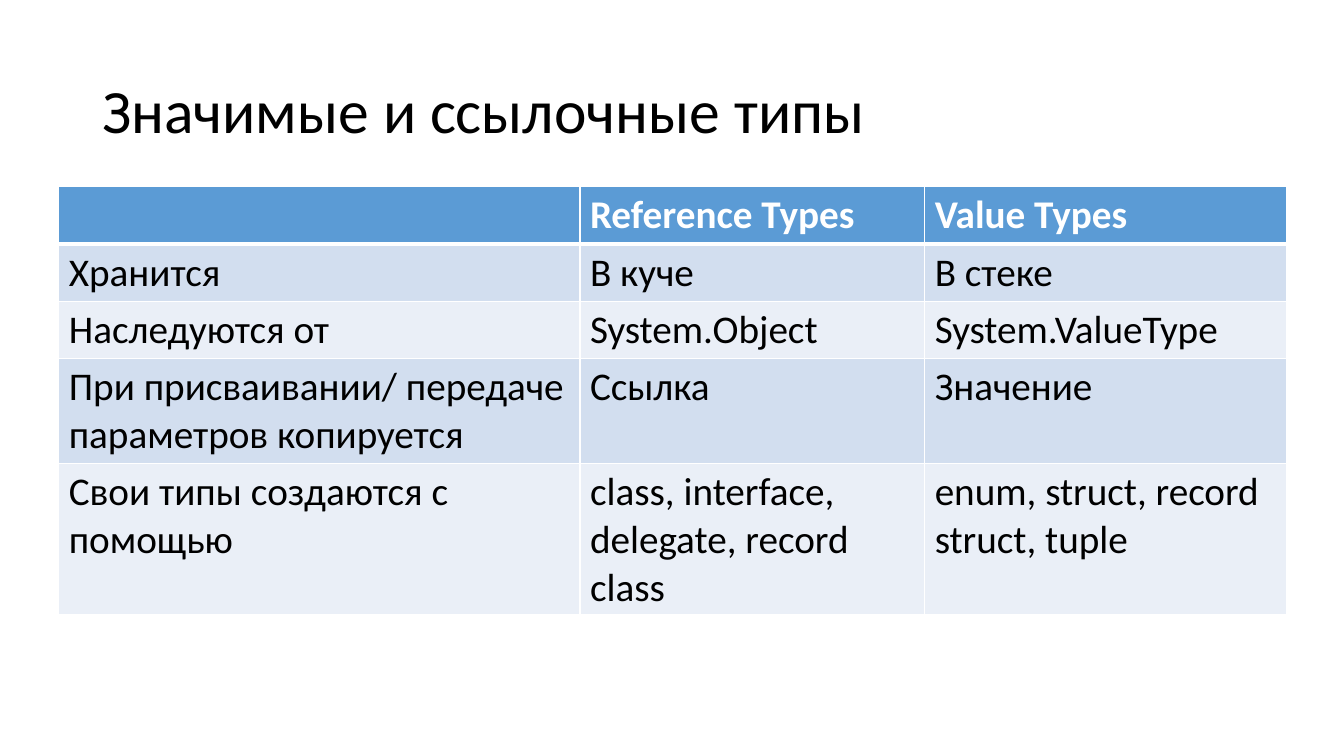
from lxml import etree
from pptx import Presentation
from pptx.dml.color import RGBColor
from pptx.enum import text
from pptx.oxml import ns
from pptx.util import Pt

FONT = "Calibri"
BLACK, WHITE = "000000", "FFFFFF"
HEADER_FILL = "5B9BD5"
BAND_FILLS = ("EAEFF7", "D2DEEF")
COLUMN_SHARES = (5.17, 3.42, 3.59)
ROW_HEIGHTS = (41, 41, 41, 75, 108)
COMPARISON = (
    ("", "Reference Types", "Value Types"),
    ("Хранится", "В куче", "В стеке"),
    ("Наследуются от", "System.Object", "System.ValueType"),
    ("При присваивании/ передаче параметров копируется", "Ссылка", "Значение"),
    ("Свои типы создаются с помощью", "class, interface, delegate, record class",
     "enum, struct, record struct, tuple"),
)


def color(value):
    """Turn a hex string into a colour."""
    return RGBColor.from_string(value)


def write(frame, wording, size=28, ink=BLACK, bold=False, spacing=None):
    """Write one formatted paragraph into a text frame."""
    frame.word_wrap = True
    paragraph = frame.paragraphs[0]
    paragraph.line_spacing = spacing
    run = paragraph.add_run()
    run.text = wording
    run.font.name = FONT
    run.font.size = Pt(size)
    run.font.bold = bold
    run.font.color.rgb = color(ink)


def add_borders(cell, bottom_width):
    """Draw white borders around a table cell."""
    properties = cell._tc.get_or_add_tcPr()
    for side, width in (("L", 1), ("R", 1), ("T", 1), ("B", bottom_width)):
        border = etree.SubElement(properties, ns.qn(f"a:ln{side}"), w=str(Pt(width)))
        fill = etree.SubElement(border, ns.qn("a:solidFill"))
        etree.SubElement(fill, ns.qn("a:srgbClr"), val=WHITE)


def add_heading(slide, left, top, width, height):
    """Place the slide heading in its box."""
    heading = slide.shapes.add_textbox(Pt(left), Pt(top), Pt(width), Pt(height))
    heading.text_frame.vertical_anchor = text.MSO_ANCHOR.MIDDLE
    write(heading.text_frame, "Значимые и ссылочные типы", size=44, spacing=0.9)


def add_comparison(slide, left, top, width):
    """Place the table comparing reference and value types."""
    table = slide.shapes.add_table(
        len(COMPARISON), len(COLUMN_SHARES),
        Pt(left), Pt(top), Pt(width), Pt(sum(ROW_HEIGHTS))).table
    for column, share in zip(table.columns, COLUMN_SHARES):
        column.width = Pt(width * share / sum(COLUMN_SHARES))
    for index, wordings in enumerate(COMPARISON):
        header = index == 0
        table.rows[index].height = Pt(ROW_HEIGHTS[index])
        for position, wording in enumerate(wordings):
            cell = table.cell(index, position)
            add_borders(cell, bottom_width=3 if header else 1)
            cell.fill.solid()
            cell.fill.fore_color.rgb = color(HEADER_FILL if header else BAND_FILLS[index % 2])
            if wording:
                write(cell.text_frame, wording, ink=WHITE if header else BLACK, bold=header)


def main():
    """Build and save the slide."""
    deck = Presentation()
    deck.slide_width, deck.slide_height = Pt(960), Pt(540)
    slide = deck.slides.add_slide(deck.slide_layouts[6])
    add_heading(slide, 66, 28.75, 828, 104.4)
    add_comparison(slide, 42, 133.2, 877)
    deck.save("out.pptx")


if __name__ == "__main__":
    main()
